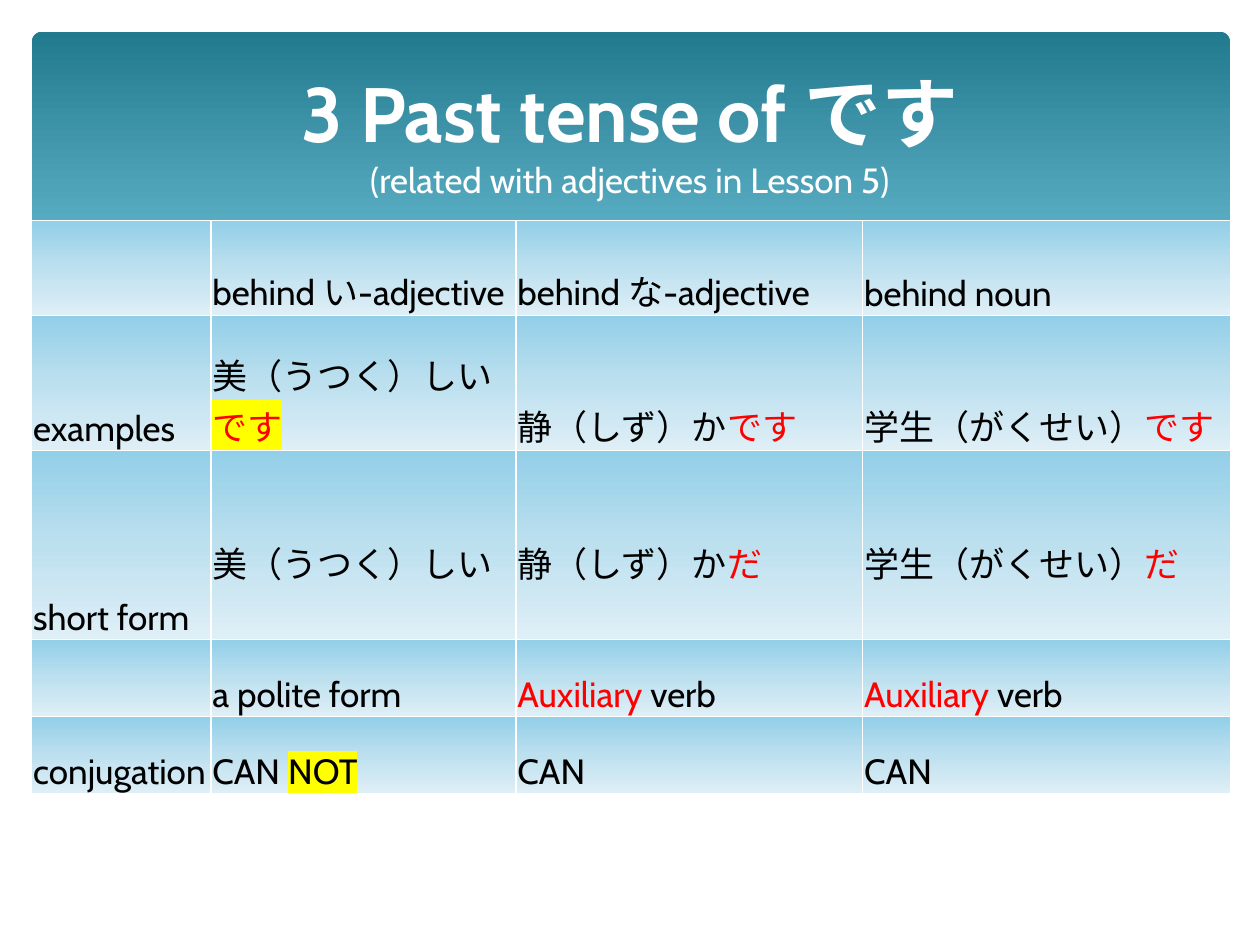
"""Build a slide with a table on the past tense of です."""
from lxml import etree
from pptx import Presentation
from pptx import util as u
from pptx.dml.color import RGBColor
from pptx.enum import shapes, text
from pptx.oxml import parse_xml

NS = "http://schemas.openxmlformats.org/drawingml/2006/main"


def grad(stops):
    """Return a downward gradient fill."""
    marks = "".join(f'<a:gs pos="{pos * 1000}"><a:srgbClr val="{tone}"/></a:gs>'
                    for pos, tone in stops)
    return parse_xml(f'<a:gradFill xmlns:a="{NS}" rotWithShape="1"><a:gsLst>{marks}</a:gsLst>'
                     '<a:lin ang="5400000" scaled="0"/></a:gradFill>')


def style(run, size, tone, bold=False, mark=None):
    """Format one run, with an optional highlight."""
    font = run.font
    font.size, font.bold = u.Pt(size), bold
    font.color.rgb = RGBColor.from_string(tone)
    if mark:
        light = etree.SubElement(font._element, f"{{{NS}}}highlight")
        etree.SubElement(light, f"{{{NS}}}srgbClr", val=mark)
    font.name = "Cabin"


deck = Presentation()
deck.slide_width, deck.slide_height = u.Cm(25.4), u.Cm(19.05)
slide = deck.slides.add_slide(deck.slide_layouts[6])

panel = slide.shapes.add_shape(shapes.MSO_SHAPE.ROUNDED_RECTANGLE,
                               u.Cm(0.64), u.Cm(0.64), u.Cm(24.16), u.Cm(6.86))
panel.adjustments[0] = 0.03
panel.shadow.inherit = False
panel.line.fill.background()
panel._element.spPr.insert(2, grad([(0, "227A8F"), (90, "7ACBE0")]))

curve = [(22.5, 6.9), (20.5, 7.03), (17.5, 6.81), (14.7, 6.35), (11.35, 5.59), (8, 4.93),
         (4.8, 4.67), (2.4, 4.95), (0.58, 5.41), (0.58, 8.36), (24.82, 8.36)]
pen = slide.shapes.build_freeform(24.82, 6.25, scale=u.Cm(1))
pen.add_line_segments(curve, close=True)
wave = pen.convert_to_shape()
wave.shadow.inherit = False
wave.fill.solid()
wave.fill.fore_color.rgb = RGBColor.from_string("FFFFFF")
wave.line.fill.background()

rows = [
    ["", "behind い-adjective", "behind な-adjective", "behind noun"],
    ["examples", "美（うつく）しい|です", "静（しず）か|です", "学生（がくせい）|です"],
    ["short form", "美（うつく）しい", "静（しず）か|だ", "学生（がくせい）|だ"],
    ["", "a polite form", "Auxiliary| verb", "Auxiliary| verb"],
    ["conjugation", "CAN |NOT", "CAN", "CAN"],
]
widths = [3.61, 6.15, 6.99, 7.42]
heights = [1.55, 2.72, 3.81, 1.55, 1.55]
reds = {"です", "だ", "Auxiliary"}
sky = [(0, "92CFE8"), (50, "BDE0EF"), (100, "DFEFF6")]

frame = slide.shapes.add_table(5, 4, u.Cm(0.64), u.Cm(4.45),
                               u.Cm(sum(widths)), u.Cm(sum(heights)))
table = frame.table
table.first_row = table.horz_banding = False
for col, width in zip(table.columns, widths):
    col.width = u.Cm(width)
for row, height in zip(table.rows, heights):
    row.height = u.Cm(height)

for y, row in enumerate(rows):
    for x, words in enumerate(row):
        cell = table.cell(y, x)
        cell.vertical_anchor = text.MSO_ANCHOR.BOTTOM
        cell.margin_left = cell.margin_right = cell.margin_top = u.Cm(0.03)
        cell.margin_bottom = u.Cm(1.05 if y == 2 and x else 0)
        prop = cell._tc.get_or_add_tcPr()
        for side in "LRTB":
            prop.append(parse_xml(f'<a:ln{side} xmlns:a="{NS}" w="12700"><a:solidFill>'
                                  f'<a:srgbClr val="FFFFFF"/></a:solidFill></a:ln{side}>'))
        prop.append(grad(sky))
        para = cell.text_frame.paragraphs[0]
        for n, part in enumerate(words.split("|") if words else []):
            run = para.add_run()
            run.text = part
            style(run, 20, "FF0000" if part in reds else "000000",
                  mark="FFFF00" if x == 1 and n else None)

title = slide.shapes.add_textbox(u.Cm(1.27), u.Cm(0.94), u.Cm(22.86), u.Cm(3.48))
body = title.text_frame
body.word_wrap = True
body.vertical_anchor = text.MSO_ANCHOR.MIDDLE
para = body.paragraphs[0]
para.text = "3 Past tense of です\v(related with adjectives in Lesson 5)"
para.alignment = text.PP_ALIGN.CENTER
head, sub = para.runs
style(head, 44, "FFFFFF", bold=True)
style(sub, 20, "FFFFFF")

deck.save("out.pptx")
